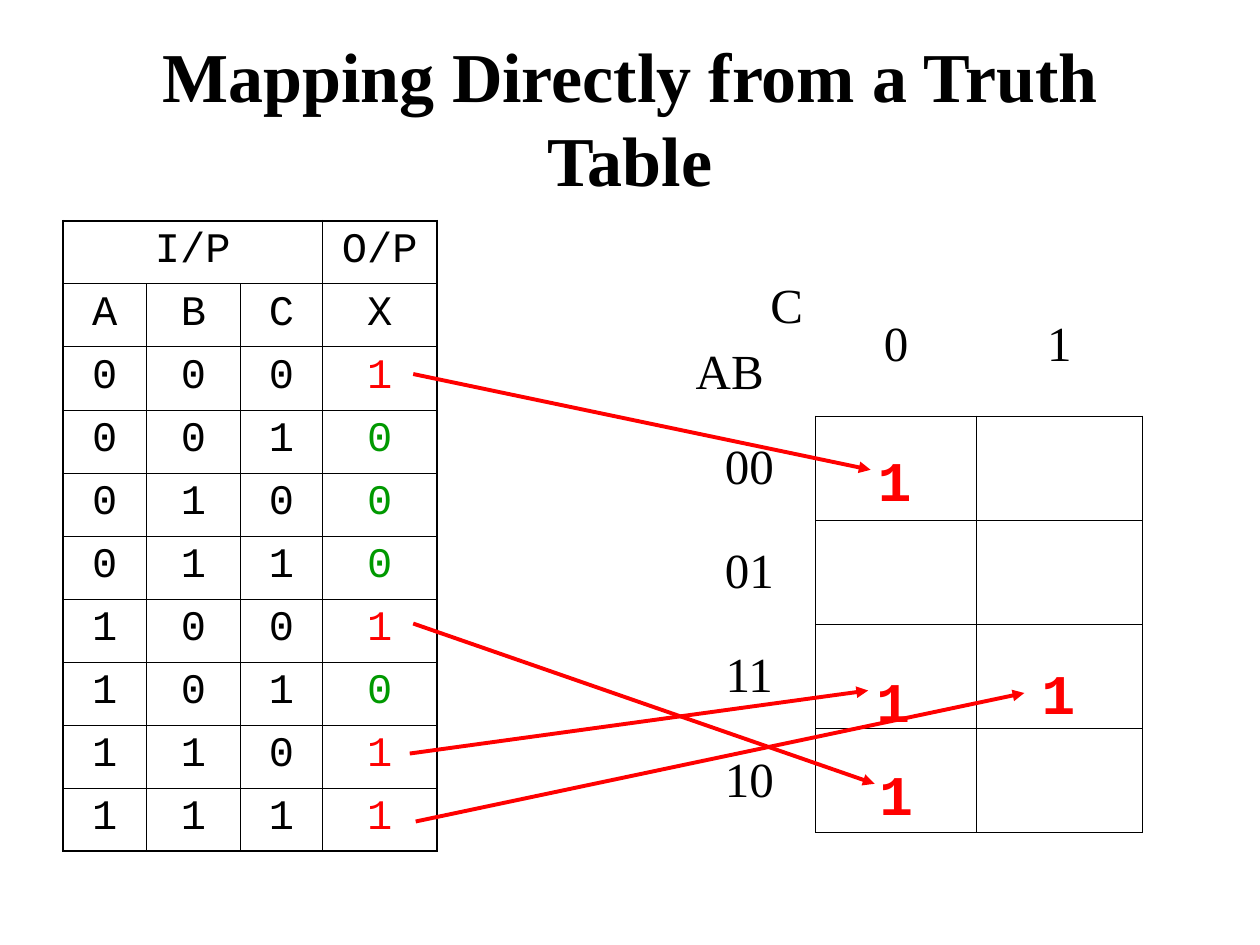
from itertools import product

from lxml import etree
from pptx import Presentation
from pptx.dml.color import RGBColor
from pptx.enum.shapes import MSO_CONNECTOR
from pptx.enum.text import MSO_ANCHOR, MSO_AUTO_SIZE, PP_ALIGN
from pptx.oxml.ns import qn
from pptx.util import Cm, Pt

LEFT, CENTER, RIGHT = PP_ALIGN.LEFT, PP_ALIGN.CENTER, PP_ALIGN.RIGHT
TOP, MIDDLE = MSO_ANCHOR.TOP, MSO_ANCHOR.MIDDLE
STRAIGHT = MSO_CONNECTOR.STRAIGHT
FIT_SHAPE = MSO_AUTO_SIZE.SHAPE_TO_FIT_TEXT

COLORS = {"black": "000000", "white": "FFFFFF", "red": "FF0000", "green": "009900"}
SERIF, MONO = "Times New Roman", "Courier New"
THIN, THICK = 0.45, 1.08

OUTPUTS = "10001011"
# Arrow start, arrow end, and top left corner of the mark it leads to (cm)
MAPPINGS = [
    ((8.33, 7.54), (17.55, 9.47), (17.45, 8.86)),
    ((8.33, 12.57), (17.63, 15.8), (17.48, 15.19)),
    ((8.26, 15.19), (17.5, 13.92), (17.42, 13.31)),
    ((8.38, 16.56), (20.65, 13.97), (20.75, 13.16)),
]


def rgb(name):
    return RGBColor.from_string(COLORS[name])


def write(frame, text, font=SERIF, size=28, color="black", bold=False,
          align=(CENTER,), anchor=TOP, gap=0):
    """Fill a text frame with one paragraph per line; align has one entry for each."""
    frame.vertical_anchor = anchor
    for index, (line, side) in enumerate(zip(text.split("\n"), align)):
        para = frame.add_paragraph() if index else frame.paragraphs[0]
        para.alignment = side
        if index:
            para.space_before = Pt(gap)
        span = para.add_run()
        span.text = line
        span.font.name, span.font.size, span.font.bold = font, Pt(size), bold
        span.font.color.rgb = rgb(color)


def add_text(page, left, top, width, height, text, wrap=True, **style):
    box = page.shapes.add_textbox(Cm(left), Cm(top), Cm(width), Cm(height))
    box.text_frame.word_wrap = wrap
    if not wrap:
        box.text_frame.auto_size = FIT_SHAPE
    write(box.text_frame, text, **style)


def add_grid(page, left, top, widths, heights):
    """Add a plain table with the given column widths and row heights in cm."""
    frame = page.shapes.add_table(len(heights), len(widths), Cm(left), Cm(top),
                                  Cm(sum(widths)), Cm(sum(heights)))
    table = frame.table
    table.first_row = table.horz_banding = False
    for column, width in zip(table.columns, widths):
        column.width = Cm(width)
    for row, height in zip(table.rows, heights):
        row.height = Cm(height)
    return table


def set_borders(cell, left, right, top, bottom):
    """Set the border widths in points; zero hides a border."""
    props = cell._tc.get_or_add_tcPr()
    for side, width in zip("LRTB", (left, right, top, bottom)):
        line = etree.SubElement(props, qn(f"a:ln{side}"), w=str(Pt(width)))
        if width:
            fill = etree.SubElement(line, qn("a:solidFill"))
            etree.SubElement(fill, qn("a:srgbClr"), val=COLORS["black"])
        else:
            etree.SubElement(line, qn("a:noFill"))


def add_truth_table(page):
    rows = [("I/P", "", "", "O/P"), tuple("ABCX")]
    rows += [bits + (out,) for bits, out in zip(product("01", repeat=3), OUTPUTS)]
    table = add_grid(page, 1.27, 4.45, [1.68, 1.9, 1.65, 2.31], [1.27] * len(rows))
    table.cell(0, 0).merge(table.cell(0, 2))
    last_row, last_col = len(rows) - 1, 3
    output_colors = {"1": "red", "0": "green"}
    for r, values in enumerate(rows):
        for c, value in enumerate(values):
            cell = table.cell(r, c)
            set_borders(cell, THIN if c else THICK, THICK if c == last_col else THIN,
                        THIN if r else THICK, THICK if r == last_row else THIN)
            cell.fill.solid()
            cell.fill.fore_color.rgb = rgb("white")
            if value:
                color = output_colors.get(value, "black") if c == last_col else "black"
                write(cell.text_frame, value, font=MONO, size=24, color=color)


def add_karnaugh_map(page):
    table = add_grid(page, 13.77, 5.51, [2.67, 3.25, 3.33], [2.87] + [2.1] * 4)
    labels = {(0, 1): "0", (0, 2): "1"}
    labels.update({(r, 0): code for r, code in enumerate(("00", "01", "11", "10"), 1)})
    for r, c in product(range(5), range(3)):
        cell = table.cell(r, c)
        set_borders(cell, THIN if r and c else 0, THIN if r else 0,
                    THIN if r and c else 0, THIN if c else 0)
        cell.fill.background()
        if (r, c) in labels:
            cell.vertical_anchor = MIDDLE
            write(cell.text_frame, labels[r, c], anchor=MIDDLE)
    write(table.cell(0, 0).text_frame, "C\nAB", align=(RIGHT, LEFT), gap=7)


def add_arrow(page, start, end):
    arrow = page.shapes.add_connector(STRAIGHT, *map(Cm, start + end))
    arrow.line.color.rgb = rgb("red")
    arrow.line.width = Pt(2.25)
    etree.SubElement(arrow.line._get_or_add_ln(), qn("a:tailEnd"), type="triangle")
    etree.SubElement(arrow._element.spPr, qn("a:effectLst"))


def main():
    deck = Presentation()
    deck.slide_width, deck.slide_height = Cm(25.4), Cm(19.05)
    page = deck.slides.add_slide(deck.slide_layouts[6])
    add_text(page, 1.27, 0.76, 22.86, 3.18, "Mapping Directly from a Truth Table",
             size=40, bold=True, anchor=MIDDLE)
    add_truth_table(page)
    add_karnaugh_map(page)
    for start, end, _ in MAPPINGS:
        add_arrow(page, start, end)
    for _, _, (left, top) in MAPPINGS:
        add_text(page, left, top, 1.17, 1.63, "1", wrap=False, font=MONO, size=32,
                 color="red", bold=True, align=(LEFT,))
    deck.save("out.pptx")


if __name__ == "__main__":
    main()
